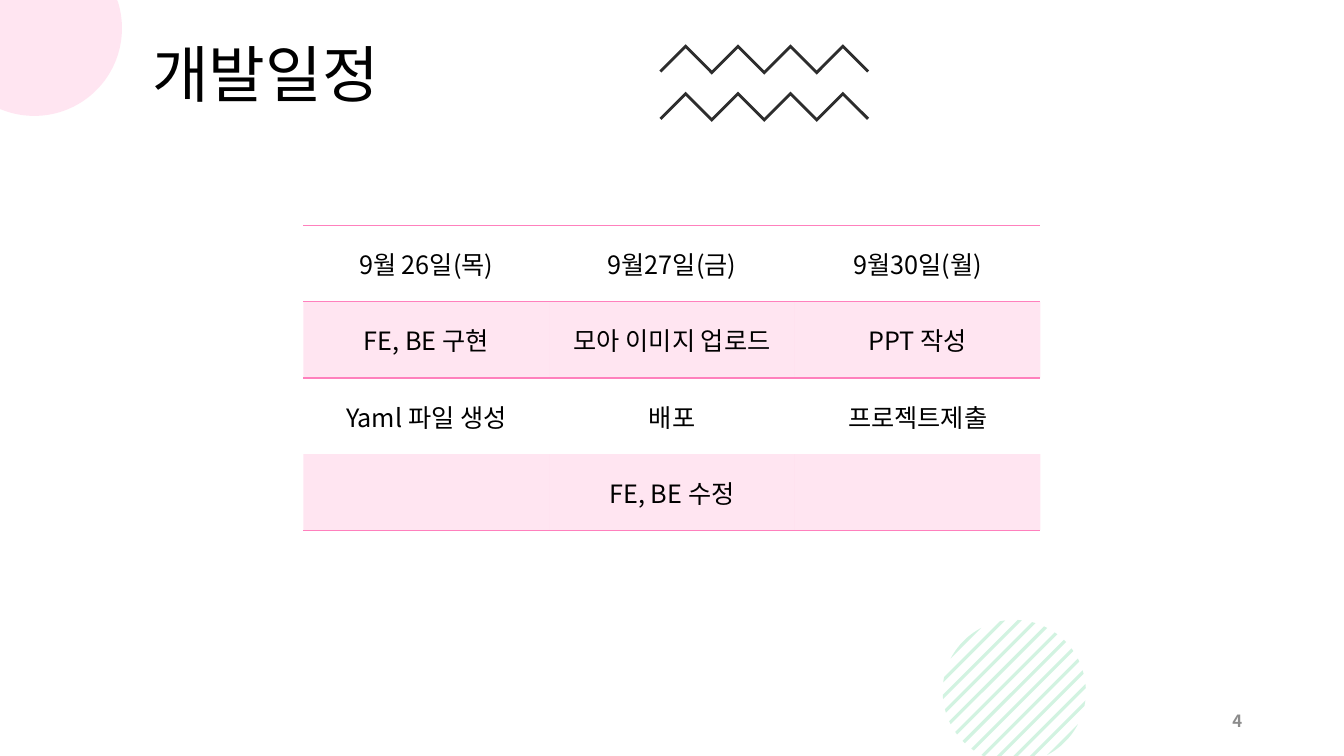
from math import cos, radians, sin, sqrt

from pptx import Presentation
from pptx.dml.color import RGBColor
from pptx.enum.text import MSO_ANCHOR, PP_ALIGN
from pptx.oxml.ns import qn
from pptx.util import Inches, Pt
from lxml.etree import SubElement

COLOURS = {
    "ink": "2D2D2D",
    "green": "21C46B",
    "pink": "FF80BD",
    "text": "000000",
    "grey": "8C8C8C",
    "white": "FFFFFF",
}
FONT = "Noto Sans CJK KR"
PLAIN_TABLE_STYLE = "{2D5ABB26-0587-4C30-8999-92F81FD0307C}"
WIDTH, HEIGHT = 13.33, 7.5
SCHEDULE = [
    ["9월 26일(목)", "9월27일(금)", "9월30일(월)"],
    ["FE, BE 구현", "모아 이미지 업로드", "PPT 작성"],
    ["Yaml 파일 생성", "배포", "프로젝트제출"],
    ["", "FE, BE 수정", ""],
]


def paint(fill, element, colour, opacity=100):
    fill.solid()
    fill.fore_color.rgb = RGBColor.from_string(COLOURS[colour])
    if opacity < 100:
        for value in element.find(qn("a:solidFill")):
            SubElement(value, qn("a:alpha"), val=str(opacity * 1000))


def write(paragraph, text, size, colour, align=PP_ALIGN.LEFT, bold=False):
    paragraph.alignment = align
    font = paragraph.font
    font.name, font.size, font.bold = FONT, Pt(size), bold
    font.color.rgb = RGBColor.from_string(COLOURS[colour])
    if text:
        run = paragraph.add_run()
        run.text = text
        SubElement(run.font._element, qn("a:ea"), typeface=FONT)


def add_outline(slide, points, colour, opacity=100):
    corners = [(Inches(x), Inches(y)) for x, y in points]
    builder = slide.shapes.build_freeform(*corners[0], scale=1.0)
    builder.add_line_segments(corners[1:], close=True)
    shape = builder.convert_to_shape()
    shape.shadow.inherit = False
    shape.line.fill.background()
    paint(shape.fill, shape._element.spPr, colour, opacity)


def add_zigzag(slide, left, top):
    step, rise, weight = 0.26, 0.26, 0.04
    upper = [(left + step * i, top + rise * (1 - i % 2)) for i in range(9)]
    lower = [(x, y + weight) for x, y in upper]
    lower[0] = (left + 0.02, top + rise + 0.02)
    lower[-1] = (left + 8 * step - 0.02, top + rise + 0.02)
    add_outline(slide, upper + lower[::-1], "ink")


def add_striped_circle(slide, left, top, diameter):
    radius = diameter / 2
    center_x, center_y = left + radius, top + radius
    pitch, half_width, samples = diameter / 12.3, 0.016, 6

    def edge_point(distance, side):
        reach = side * sqrt(max(radius ** 2 - distance ** 2, 0))
        x = center_x + (distance + reach) / sqrt(2)
        y = center_y + (distance - reach) / sqrt(2)
        return x + max(y - HEIGHT, 0), min(y, HEIGHT)

    for index in range(-6, 7):
        start = max(index * pitch - half_width, -radius)
        end = min(index * pitch + half_width, radius)
        distances = [start + (end - start) * i / samples for i in range(samples + 1)]
        right_end = [edge_point(distance, 1) for distance in distances]
        left_end = [edge_point(distance, -1) for distance in distances]
        add_outline(slide, right_end + left_end[::-1], "green", 20)


def add_corner_circle(slide, center_x, center_y, radius):
    angles = range(-20, 116)
    arc = [(center_x + radius * cos(radians(a)), center_y + radius * sin(radians(a))) for a in angles]
    visible = [(x, y) for x, y in arc if x >= 0 and y >= 0]
    add_outline(slide, [(0, 0), (1.16, 0)] + visible + [(0, 1.08)], "pink", 20)


def add_text(slide, left, top, width, height, text, size, colour, anchor, **style):
    frame = slide.shapes.add_textbox(Inches(left), Inches(top), Inches(width), Inches(height)).text_frame
    frame.word_wrap = True
    frame.vertical_anchor = anchor
    write(frame.paragraphs[0], text, size, colour, **style)
    return frame.paragraphs[0]


def add_rules(cell, sides):
    properties = cell._tc.get_or_add_tcPr()
    for side in sides:
        line = SubElement(properties, qn(f"a:ln{side}"), w=str(Pt(1)), cap="flat", cmpd="sng", algn="ctr")
        fill = SubElement(line, qn("a:solidFill"))
        SubElement(fill, qn("a:srgbClr"), val=COLOURS["pink"])
        SubElement(line, qn("a:prstDash"), val="solid")


def add_schedule(slide, left, top, width, height):
    row_count, column_count = len(SCHEDULE), len(SCHEDULE[0])
    table = slide.shapes.add_table(
        row_count, column_count, Inches(left), Inches(top), Inches(width), Inches(height)
    ).table
    table.first_row = table.horz_banding = False
    table._tbl.tblPr.find(qn("a:tableStyleId")).text = PLAIN_TABLE_STYLE
    ruled_sides = {0: "TB", 1: "T", row_count - 1: "B"}
    for row, texts in enumerate(SCHEDULE):
        for column, text in enumerate(texts):
            cell = table.cell(row, column)
            cell.vertical_anchor = MSO_ANCHOR.MIDDLE
            add_rules(cell, ruled_sides.get(row, ""))
            if row % 2:
                paint(cell.fill, cell._tc.tcPr, "pink", 20)
            else:
                paint(cell.fill, cell._tc.tcPr, "white")
            write(cell.text_frame.paragraphs[0], text, 18, "text", PP_ALIGN.CENTER)


def build_schedule_slide(presentation):
    slide = presentation.slides.add_slide(presentation.slide_layouts[6])
    for top in (0.44, 0.91):
        add_zigzag(slide, 6.54, top)
    add_striped_circle(slide, 9.35, 6.15, 1.42)
    add_corner_circle(slide, 0.34, 0.28, 0.87)
    title = add_text(slide, 1.41, 0.39, 4.54, 1.56, "개발일정", 44, "text", MSO_ANCHOR.TOP)
    title.line_spacing = 0.9
    add_text(slide, 9.42, 6.95, 3, 0.4, "4", 12, "grey", MSO_ANCHOR.MIDDLE, align=PP_ALIGN.RIGHT, bold=True)
    add_schedule(slide, 3.01, 2.24, 7.31, 3.02)


def main():
    presentation = Presentation()
    presentation.slide_width, presentation.slide_height = Inches(WIDTH), Inches(HEIGHT)
    build_schedule_slide(presentation)
    presentation.save("out.pptx")


if __name__ == "__main__":
    main()
